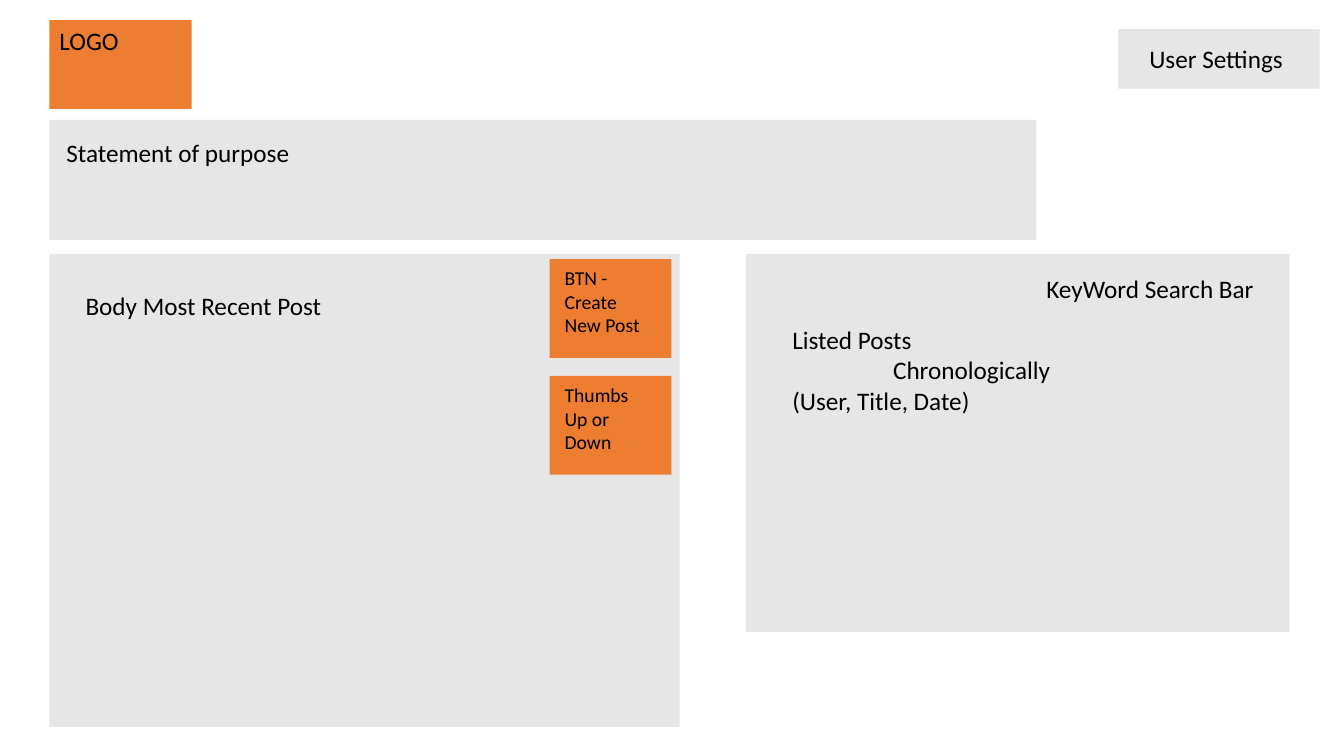
from pptx import Presentation
from pptx.dml.color import RGBColor
from pptx.enum.shapes import MSO_SHAPE
from pptx.enum.text import MSO_ANCHOR, PP_ALIGN
from pptx.util import Inches, Pt

RECT = MSO_SHAPE.RECTANGLE
TOP, LEFT = MSO_ANCHOR.TOP, PP_ALIGN.LEFT
GREY, ORANGE, BLACK = "E7E6E6", "ED7D31", "000000"
FONT = "Calibri"

# Content: boxes are left, top, width, height in inches
PANELS = [
    (11.09, 0.29, 2, 0.59),     # user settings
    (0.49, 2.52, 6.25, 4.69),   # recent post
    (0.49, 1.19, 9.79, 1.19),   # purpose
    (7.4, 2.52, 5.39, 3.75),    # post list
]
# Each line is its text and its left indent
LABELS = [
    ((11.3, 0.38, 1.69, 0.4), [("User Settings", 0)]),
    ((0.75, 2.83, 3.9, 0.51), [("Body Most Recent Post", 0)]),
    ((0.56, 1.31, 6.12, 0.4), [("Statement of purpose", 0)]),
    ((7.76, 3.17, 4.33, 1.62), [("Listed Posts", 0), ("Chronologically", 1),
                                ("(User, Title, Date)", 0)]),
    ((10.28, 2.66, 2.66, 1.01), [("KeyWord Search Bar", 0)]),
]
LOGO = ((0.49, 0.2, 1.41, 0.88), "LOGO")
BUTTONS = ["BTN - Create New Post", "Thumbs Up or Down"]
BUTTON_BOX, BUTTON_STEP = (5.45, 2.57, 1.21, 0.98), 1.16
BUTTON_MARGINS = {"margin_left": 0.15, "margin_right": 0.27, "margin_top": 0.07}


def color(value):
    return RGBColor.from_string(value)


def write(shape, lines, size, margins=None):
    tf = shape.text_frame
    tf.word_wrap = True
    tf.vertical_anchor = TOP
    for name, value in (margins or {}).items():
        setattr(tf, name, Inches(value))
    for i, (text, indent) in enumerate(lines):
        p = tf.add_paragraph() if i else tf.paragraphs[0]
        p.alignment = LEFT
        if indent:
            p._p.get_or_add_pPr().set("marL", str(Inches(indent)))
        r = p.add_run()
        r.text = text
        r.font.name, r.font.size = FONT, Pt(size)
        r.font.color.rgb = color(BLACK)


def add_box(box, fill):
    shape = s.shapes.add_shape(RECT, *map(Inches, box))
    shape.shadow.inherit = False
    shape.fill.solid()
    shape.fill.fore_color.rgb = color(fill)
    shape.line.fill.background()
    return shape


prs = Presentation()
prs.slide_width, prs.slide_height = Inches(13.33), Inches(7.5)
s = prs.slides.add_slide(prs.slide_layouts[6])

# Grey panels and their labels
for box in PANELS:
    add_box(box, GREY)
for box, lines in LABELS:
    write(s.shapes.add_textbox(*map(Inches, box)), lines, 18)

# Orange buttons, stacked at an equal step
left, top, width, height = BUTTON_BOX
for i, text in enumerate(BUTTONS):
    button = add_box((left, top + i * BUTTON_STEP, width, height), ORANGE)
    write(button, [(text, 0)], 14, BUTTON_MARGINS)

# Logo space
logo_box, logo_text = LOGO
write(add_box(logo_box, ORANGE), [(logo_text, 0)], 18)

prs.save("out.pptx")
